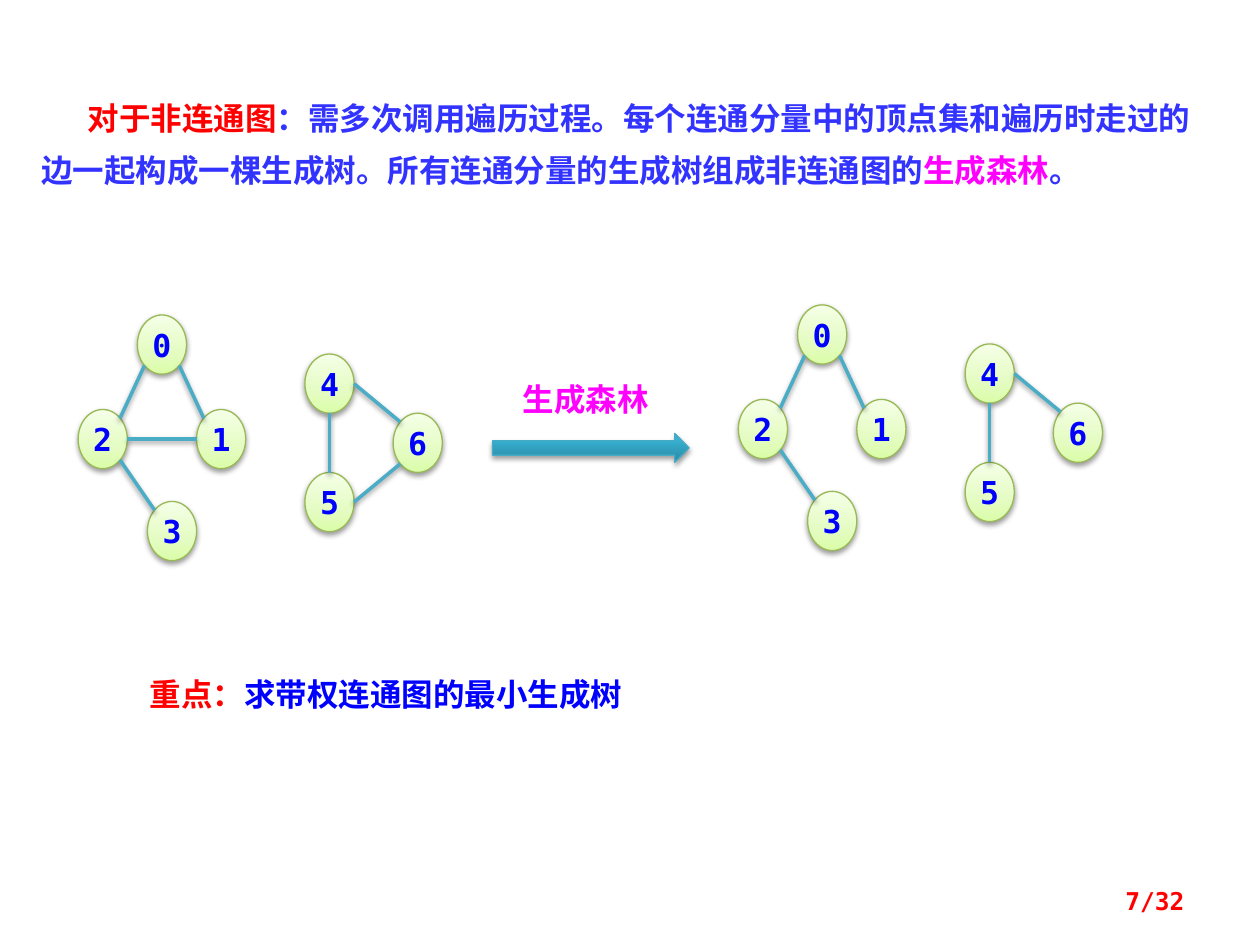
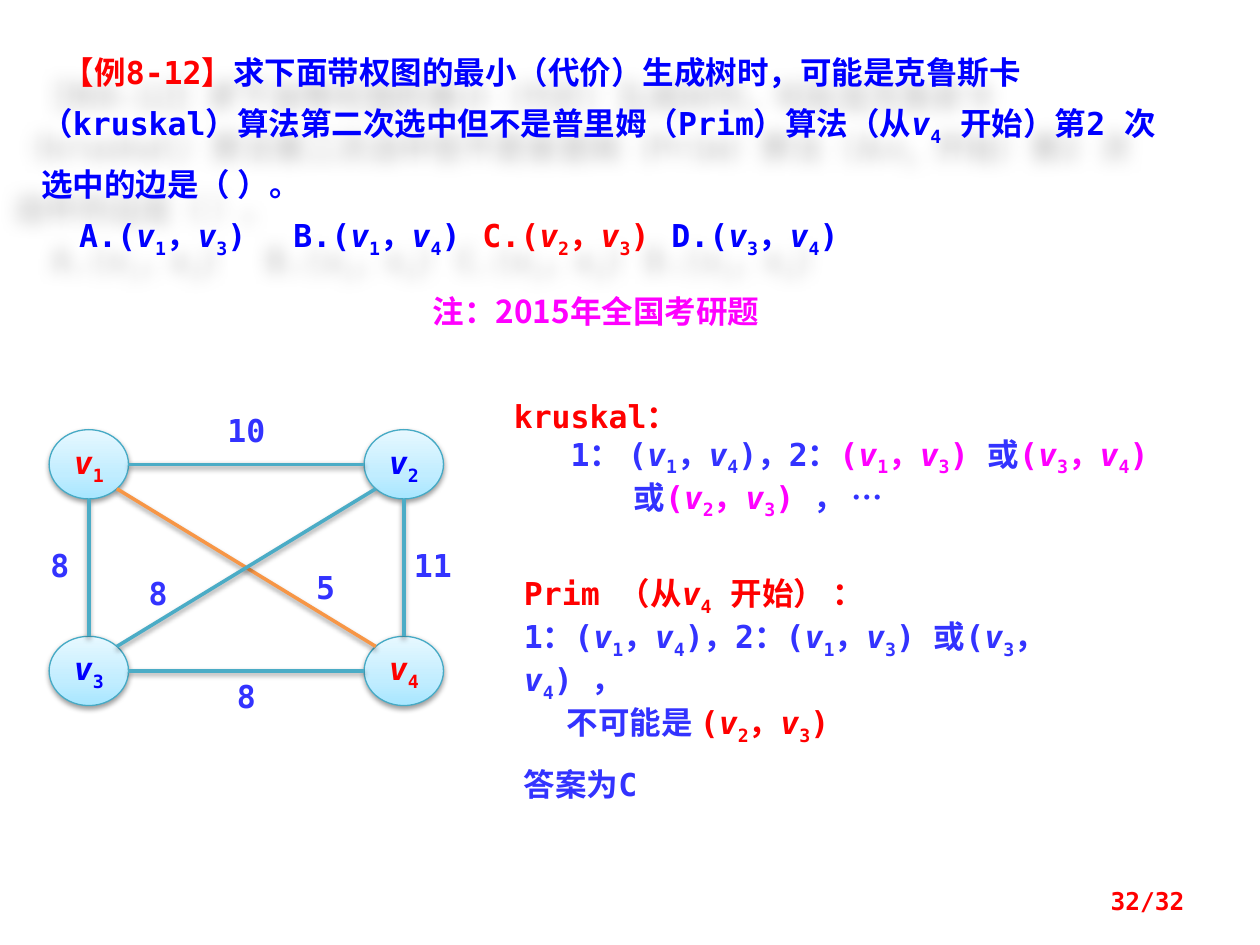
import lxml.etree
import pptx
import pptx.dml.color
import pptx.enum.shapes
import pptx.enum.text
import pptx.oxml.ns
import pptx.util

Inches = pptx.util.Inches
Pt = pptx.util.Pt
ALIGN = pptx.enum.text.PP_ALIGN
SHAPE = pptx.enum.shapes.MSO_SHAPE
MIDDLE = pptx.enum.text.MSO_ANCHOR.MIDDLE

MONO = "DejaVu Sans Mono"
CJK = "Noto Sans CJK SC"
RED, BLUE, INDIGO, MAGENTA = "FF0000", "0000FF", "3333FF", "FF00FF"
TEAL, ORANGE = "4BACC6", "F79646"
GREEN_NODE = ([(0, "DAFDA7"), (35, "E4FCC2"), (100, "F5FFE7")], "98B955")
CYAN_NODE = ([(0, "A7E6FF"), (35, "C1EDFF"), (100, "E7F8FF")], "46AAC5")
ARROW = ([(0, "2A88A2"), (80, "37B1D2"), (100, "34B4D6")], "46AAC5")
PAGES = 32

DIAGONAL = 0.7071
SITES = {
    "top": (0, -1), "bottom": (0, 1), "left": (-1, 0), "right": (1, 0),
    "tl": (-DIAGONAL, -DIAGONAL), "tr": (DIAGONAL, -DIAGONAL),
    "bl": (-DIAGONAL, DIAGONAL), "br": (DIAGONAL, DIAGONAL),
}


def rgb(value):
    return pptx.dml.color.RGBColor.from_string(value)


def child(parent, tag, **attrs):
    el = lxml.etree.SubElement(parent, pptx.oxml.ns.qn("a:" + tag))
    for key, value in attrs.items():
        el.set(key, str(value))
    return el


def set_shadow(sp, blur=3.1, dist=1.6, angle=90, alpha=38):
    effects = child(sp._element.spPr, "effectLst")
    outer = child(effects, "outerShdw", blurRad=Pt(blur), dist=Pt(dist),
                  dir=angle * 60000, algn="ctr", rotWithShape=0)
    child(child(outer, "srgbClr", val="000000"), "alpha", val=alpha * 1000)


def add_run(p, text, color, size, font, italic=False, sub=False):
    if not text:
        return
    r = p.add_run()
    r.text = text
    r.font.size = Pt(size)
    r.font.bold = True
    r.font.italic = italic
    r.font.color.rgb = rgb(color)
    r.font.name = font
    child(r.font._element, "ea", typeface=CJK)
    if sub:
        r.font._element.set("baseline", "-25000")


def add_segments(p, segments, size=18, font=MONO):
    for color, text in segments:
        first, *rest = text.split("v_")
        add_run(p, first, color, size, font)
        for part in rest:
            add_run(p, "v", color, size, font, italic=True)
            add_run(p, part[0], color, size, font, sub=True)
            add_run(p, part[1:], color, size, font)


def add_text(s, box, paragraphs, align=ALIGN.LEFT, spacing=None, tabs=(),
             inset=True, size=18, font=MONO):
    sp = s.shapes.add_textbox(*map(Inches, box))
    tf = sp.text_frame
    tf.word_wrap = True
    if not inset:
        tf.margin_left = tf.margin_right = tf.margin_top = tf.margin_bottom = 0
    for i, (indent, segments) in enumerate(paragraphs):
        p = tf.add_paragraph() if i else tf.paragraphs[0]
        p.alignment = align
        if spacing:
            p.line_spacing = Pt(spacing)
        pPr = p._p.get_or_add_pPr()
        pPr.set("indent", str(Inches(indent)))
        if tabs:
            stops = child(pPr, "tabLst")
            for tab in tabs:
                child(stops, "tab", pos=Inches(tab), algn="l")
        add_segments(p, segments, size, font)
    return sp


def add_line_of_text(s, box, color, text, **options):
    return add_text(s, box, [(0, [(color, text)])], **options)


def add_glossy(s, kind, box, style):
    stops, outline = style
    sp = s.shapes.add_shape(kind, *map(Inches, box))
    sp.fill.gradient()
    sp.fill.gradient_angle = 90
    gs_list = sp._element.spPr.find(".//" + pptx.oxml.ns.qn("a:gsLst"))
    for gs in list(gs_list):
        gs_list.remove(gs)
    for pos, color in stops:
        child(child(gs_list, "gs", pos=pos * 1000), "srgbClr", val=color)
    sp.line.color.rgb = rgb(outline)
    sp.line.width = Pt(0.75)
    set_shadow(sp)
    return sp


def add_node(s, box, style, color, label):
    tf = add_glossy(s, SHAPE.OVAL, box, style).text_frame
    tf.word_wrap = False
    tf.vertical_anchor = MIDDLE
    p = tf.paragraphs[0]
    p.alignment = ALIGN.CENTER
    add_segments(p, [(color, label)])


def site_point(box, site):
    left, top, width, height = box
    dx, dy = SITES[site]
    return (Inches(left + width / 2 * (1 + dx)),
            Inches(top + height / 2 * (1 + dy)))


def add_edge(s, start, start_site, end, end_site, color=TEAL):
    cx = s.shapes.add_connector(
        pptx.enum.shapes.MSO_CONNECTOR.STRAIGHT,
        *site_point(start, start_site), *site_point(end, end_site))
    cx.line.color.rgb = rgb(color)
    cx.line.width = Pt(2)
    set_shadow(cx)


def add_page_number(s, number):
    sp = add_line_of_text(s, (7.17, 6.95, 2.33, 0.4), RED,
                          f"{number}/{PAGES}", align=ALIGN.RIGHT, size=14)
    sp.text_frame.vertical_anchor = MIDDLE


def add_number_graph(s, dx, dy, edges):
    places = [(1.09, 2.5), (1.56, 3.25), (0.62, 3.25), (1.17, 3.98),
              (2.42, 2.81), (2.42, 3.75), (3.12, 3.28)]
    nodes = [(x + dx, y + dy, 0.39, 0.47) for x, y in places]
    for i, box in enumerate(nodes):
        add_node(s, box, GREEN_NODE, BLUE, str(i))
    for a, a_site, b, b_site in edges:
        add_edge(s, nodes[a], a_site, nodes[b], b_site)


def build_forest_slide(s):
    add_text(s, (0.23, 0.62, 9.53, 0.9), [(0.37, [
        (RED, "对于非连通图"),
        (INDIGO, "：需多次调用遍历过程。每个连通分量中的顶点集和遍历时走过的"
                 "边一起构成一棵生成树。所有连通分量的生成树组成非连通图的"),
        (MAGENTA, "生成森林"),
        (INDIGO, "。")])], spacing=30)
    add_text(s, (1.09, 5.31, 5.78, 0.4),
             [(0, [(RED, "重点："), (BLUE, "求带权连通图的最小生成树")])])
    forest_edges = [(0, "bl", 2, "tr"), (2, "br", 3, "tl"), (0, "br", 1, "tl"),
                    (4, "bottom", 5, "top"), (4, "right", 6, "tl")]
    cycle_edges = [(2, "right", 1, "left"), (6, "bl", 5, "right")]
    add_number_graph(s, 0, 0, forest_edges + cycle_edges)
    add_number_graph(s, 5.24, -0.08, forest_edges)
    add_glossy(s, SHAPE.RIGHT_ARROW, (3.91, 3.44, 1.56, 0.23), ARROW)
    add_line_of_text(s, (3.75, 2.97, 1.8, 0.4), MAGENTA, "生成森林",
                     align=ALIGN.CENTER)


def add_weighted_graph(s):
    v1, v2, v3, v4 = [(x, y, 0.63, 0.55) for y in (3.41, 5.05)
                      for x in (0.39, 2.89)]
    for i, (box, color) in enumerate(zip((v1, v2, v3, v4),
                                         (RED, BLUE, BLUE, RED)), 1):
        add_node(s, box, CYAN_NODE, color, f"v_{i}")
    add_edge(s, v1, "right", v2, "left")
    add_edge(s, v1, "bottom", v3, "top")
    add_edge(s, v3, "right", v4, "left")
    add_edge(s, v2, "bottom", v4, "top")
    add_edge(s, v1, "br", v4, "tl", ORANGE)
    add_edge(s, v3, "tr", v2, "bl")
    weights = [("10", 1.64, 3.26), ("8", 1.64, 5.37), ("11", 3.12, 4.33),
               ("8", 0.16, 4.33), ("5", 2.27, 4.51), ("8", 0.94, 4.56)]
    for weight, x, y in weights:
        add_line_of_text(s, (x, y, 0.63, 0.3), INDIGO, weight,
                         align=ALIGN.CENTER, inset=False)


def build_example_slide(s):
    question = add_text(s, (0.23, 0.23, 9.22, 1.9), [
        (0.17, [
            (RED, "【例8-12】"),
            (BLUE, "求下面带权图的最小（代价）生成树时，可能是克鲁斯卡（kruskal）"
                   "算法第二次选中但不是普里姆（Prim）算法（从v_4 开始）"
                   "第2 次选中的边是（ ）。")]),
        (0.3, [
            (BLUE, "A.(v_1，v_3)\tB.(v_1，v_4)\t"),
            (RED, "C.(v_2，v_3)"),
            (BLUE, "\tD.(v_3，v_4)")])],
        spacing=32, tabs=(2.34, 4.39, 6.59))
    set_shadow(question, blur=10, dist=20, angle=140, alpha=20)
    add_weighted_graph(s)
    add_text(s, (4.06, 4.51, 5.08, 1.01), [
        (0, [(RED, "Prim （从v_4 开始） ：")]),
        (0, [(INDIGO, "1：(v_1，v_4)，2：(v_1，v_3) 或(v_3，v_4) ，")]),
        (0.34, [(INDIGO, "不可能是"), (RED, " (v_2，v_3)")])])
    add_text(s, (3.98, 3.1, 5.47, 1.01), [
        (0, [(RED, "kruskal：")]),
        (0.45, [(INDIGO, "1： (v_1，v_4)，2："), (MAGENTA, "(v_1，v_3) "),
                (INDIGO, "或"), (MAGENTA, "(v_3，v_4)")]),
        (0.95, [(INDIGO, "或"), (MAGENTA, "(v_2，v_3) "),
                (INDIGO, "， …")])])
    add_line_of_text(s, (2.97, 2.27, 3.52, 0.4), MAGENTA,
                     "注：2015年全国考研题", align=ALIGN.CENTER, font=CJK)
    add_line_of_text(s, (4.06, 6.02, 2.5, 0.4), INDIGO, "答案为C")


def main():
    prs = pptx.Presentation()
    prs.slide_width = Inches(10)
    prs.slide_height = Inches(7.5)
    for build, number in ((build_forest_slide, 7), (build_example_slide, 32)):
        s = prs.slides.add_slide(prs.slide_layouts[6])
        build(s)
        add_page_number(s, number)
    prs.save("out.pptx")


if __name__ == "__main__":
    main()
